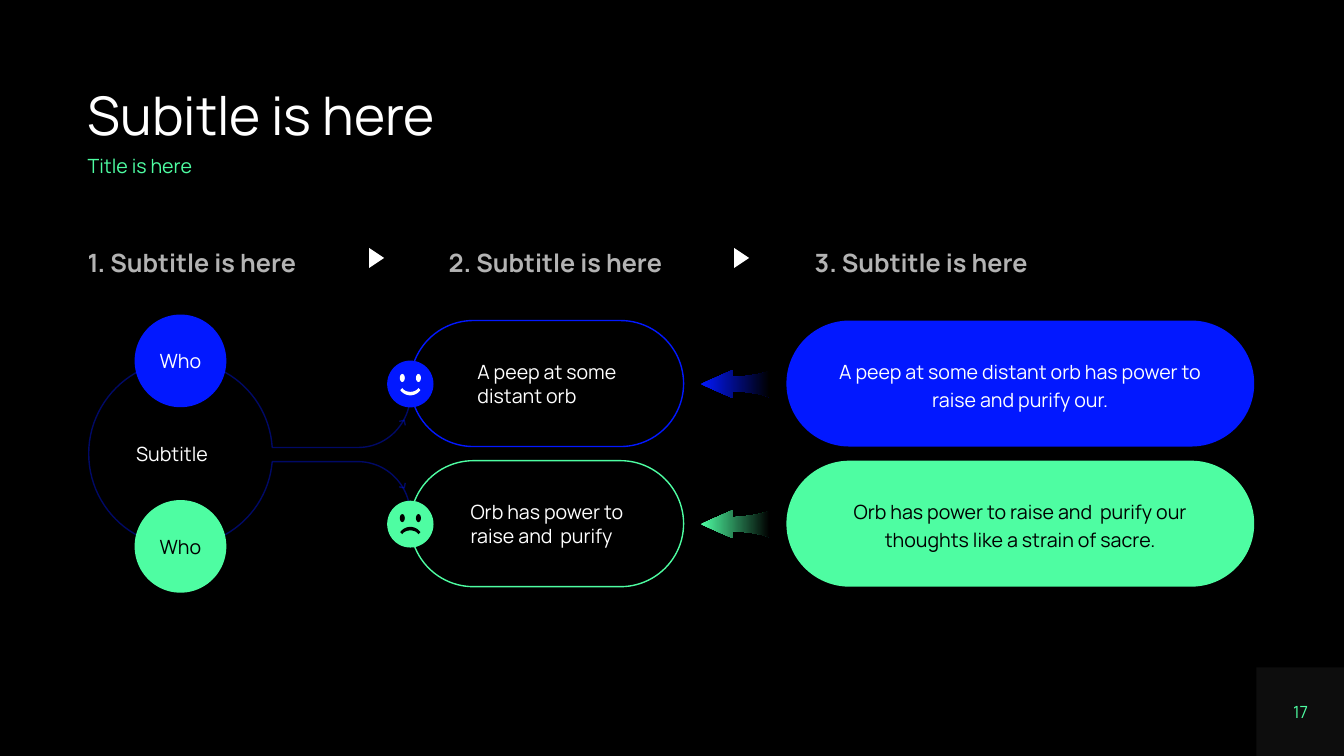
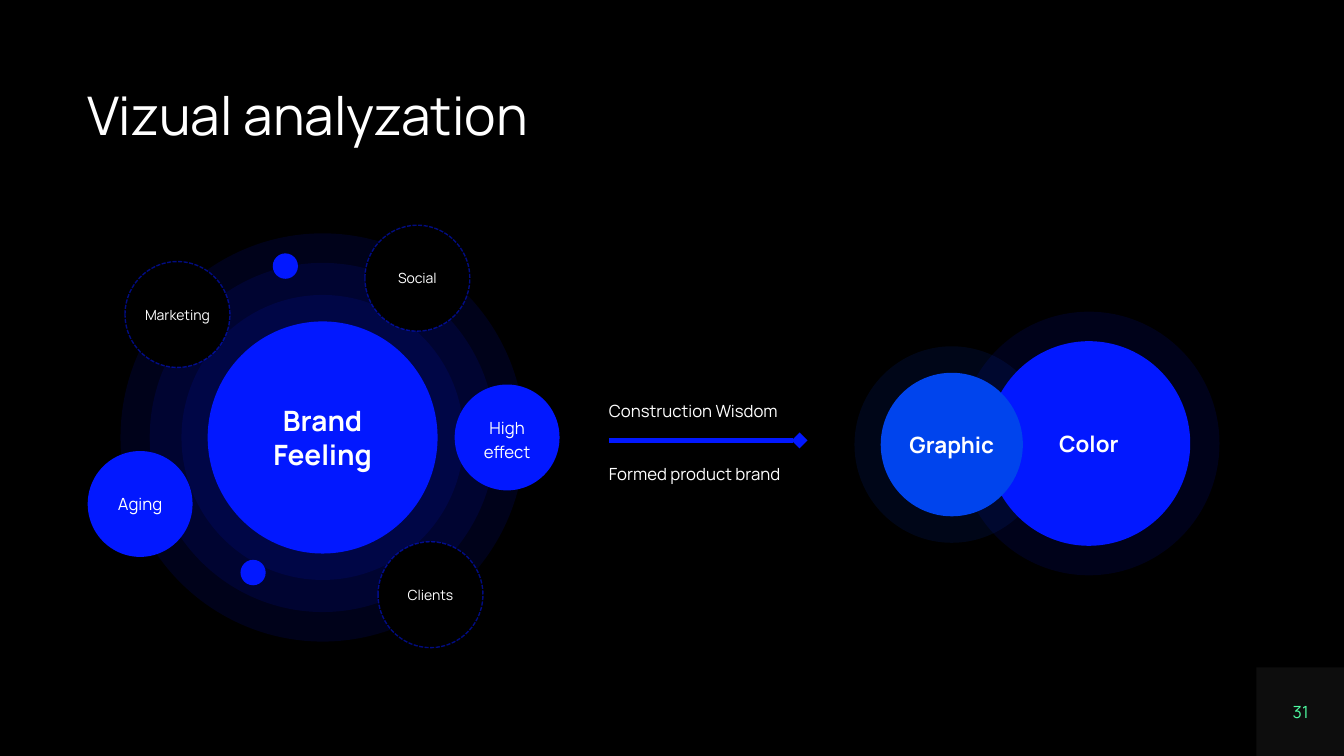
"""Build two dark diagram slides: a three-step flow and a map of circles."""
from dataclasses import dataclass

from lxml.etree import SubElement
from pptx import Presentation
from pptx.dml.color import RGBColor
from pptx.dml.fill import FillFormat
from pptx.enum.dml import MSO_LINE
from pptx.enum.shapes import MSO_CONNECTOR, MSO_SHAPE
from pptx.enum.text import MSO_ANCHOR, PP_ALIGN
from pptx.oxml.ns import qn
from pptx.shapes.autoshape import Shape
from pptx.slide import Slide
from pptx.util import Inches, Pt

BLACK = RGBColor(0x00, 0x00, 0x00)
WHITE = RGBColor(0xFF, 0xFF, 0xFF)
GRAY = RGBColor(0x80, 0x80, 0x80)
BLUE = RGBColor(0x02, 0x18, 0xFF)
SKY = RGBColor(0x00, 0x44, 0xED)
GREEN = RGBColor(0x4E, 0xFD, 0xA2)
FONT = "Manrope"
MARGIN = 0.87
DISC_RATIO = 1.01


@dataclass(frozen=True)
class Style:
    size: float = 14
    color: RGBColor = WHITE
    bold: bool = False
    align: PP_ALIGN = PP_ALIGN.LEFT
    spacing: float = 1.0
    alpha: int = 100


@dataclass(frozen=True)
class Disc:
    cx: float
    cy: float
    width: float
    fill: RGBColor = BLUE
    alpha: int = 100
    text: str = ""
    style: Style = Style()
    dashed: bool = False


@dataclass(frozen=True)
class Row:
    cy: float
    color: RGBColor
    ink: RGBColor
    mood: int
    summary: str
    detail: str


def paint(fill: FillFormat, color: RGBColor, alpha: int = 100) -> None:
    fill.solid()
    fill.fore_color.rgb = color
    if alpha < 100:
        clr = fill._xPr.find(qn("a:solidFill"))[0]
        SubElement(clr, qn("a:alpha")).set("val", str(alpha * 1000))


def write(sp: Shape, text: str, style: Style, inset: float = 0,
          anchor: MSO_ANCHOR = MSO_ANCHOR.MIDDLE) -> None:
    tf = sp.text_frame
    tf.word_wrap = True
    tf.vertical_anchor = anchor
    tf.margin_left = tf.margin_right = Inches(inset)
    tf.margin_top = tf.margin_bottom = 0
    p = tf.paragraphs[0]
    p.alignment = style.align
    p.line_spacing = style.spacing
    r = p.add_run()
    r.text = text
    r.font.name = FONT
    r.font.size = Pt(style.size)
    r.font.bold = style.bold
    paint(r.font.fill, style.color, style.alpha)


def add_label(s: Slide, x: float, y: float, w: float, h: float, text: str,
              style: Style, anchor: MSO_ANCHOR = MSO_ANCHOR.TOP) -> None:
    sp = s.shapes.add_textbox(Inches(x), Inches(y), Inches(w), Inches(h))
    write(sp, text, style, anchor=anchor)


def add_block(s: Slide, kind: MSO_SHAPE, x: float, y: float, w: float, h: float) -> Shape:
    sp = s.shapes.add_shape(kind, Inches(x), Inches(y), Inches(w), Inches(h))
    sp.shadow.inherit = False
    sp.line.fill.background()
    return sp


def add_disc(s: Slide, d: Disc) -> None:
    h = d.width * DISC_RATIO
    sp = add_block(s, MSO_SHAPE.OVAL, d.cx - d.width / 2, d.cy - h / 2, d.width, h)
    paint(sp.fill, d.fill, d.alpha)
    if d.dashed:
        paint(sp.line.fill, BLUE, 50)
        sp.line.width = Pt(1)
        sp.line.dash_style = MSO_LINE.SQUARE_DOT
    if d.text:
        write(sp, d.text, d.style)


def add_path(s: Slide, x: float, y: float, start: tuple[float, float],
             steps: list[tuple[float, ...]], closed: bool = True, flip: int = 1) -> Shape:
    """Trace lines (2 numbers) and Bezier curves (6 numbers) from an origin."""
    points = [start]
    for step in steps:
        if len(step) == 2:
            points.append(step)
            continue
        x0, y0 = points[-1]
        x1, y1, x2, y2, x3, y3 = step
        for i in range(1, 25):
            t = i / 24
            u = 1 - t
            a, b, c, d = u ** 3, 3 * u * u * t, 3 * u * t * t, t ** 3
            points.append((a * x0 + b * x1 + c * x2 + d * x3,
                           a * y0 + b * y1 + c * y2 + d * y3))
    first, *rest = [(Inches(x + px), Inches(y + flip * py)) for px, py in points]
    builder = s.shapes.build_freeform(*first, scale=1.0)
    builder.add_line_segments(rest, close=closed)
    sp = builder.convert_to_shape()
    sp.shadow.inherit = False
    if closed:
        sp.line.fill.background()
    else:
        sp.fill.background()
        paint(sp.line.fill, BLUE, 40)
        sp.line.width = Pt(1)
    return sp


def add_pill(s: Slide, x: float, cy: float, w: float) -> Shape:
    sp = add_block(s, MSO_SHAPE.ROUNDED_RECTANGLE, x, cy - 0.63, w, 1.25)
    sp.adjustments[0] = 0.5
    return sp


def add_face(s: Slide, row: Row, cx: float) -> None:
    ink = WHITE if row.mood > 0 else BLACK
    add_disc(s, Disc(cx, row.cy, 0.46, row.color))
    for dx in (-0.08, 0.08):
        eye = add_block(s, MSO_SHAPE.OVAL, cx + dx - 0.025, row.cy - 0.1, 0.05, 0.08)
        paint(eye.fill, ink)
    mouth = add_path(s, cx, row.cy + 0.07, (-0.08, -0.03),
                     [(-0.05, 0.02, 0.05, 0.02, 0.08, -0.03), (0.1, -0.01),
                      (0.05, 0.06, -0.05, 0.06, -0.1, -0.01)], flip=row.mood)
    paint(mouth.fill, ink)


def add_row(s: Slide, row: Row) -> None:
    outline = add_pill(s, 4.07, row.cy, 2.71)
    outline.fill.background()
    paint(outline.line.fill, row.color)
    outline.line.width = Pt(1)
    write(outline, row.summary, Style(), inset=0.32)
    outline.text_frame._txBody.bodyPr.set("anchorCtr", "1")

    solid = add_pill(s, 7.8, row.cy, 4.64)
    paint(solid.fill, row.color)
    write(solid, row.detail, Style(color=row.ink, align=PP_ALIGN.CENTER, spacing=1.2), inset=0.22)

    arrow = add_path(s, 6.95, row.cy, (0.32, -0.14),
                     [(0, 0), (0.32, 0.14), (0.32, 0.07), (0.34, 0.07),
                      (0.49, 0.08, 0.6, 0.1, 0.68, 0.13), (0.68, -0.13),
                      (0.6, -0.1, 0.49, -0.08, 0.34, -0.07), (0.32, -0.07)])
    arrow.fill.gradient()
    arrow.fill.gradient_angle = 0
    for stop, color, position in zip(arrow.fill.gradient_stops, (row.color, BLACK), (0, 1)):
        stop.color.rgb = color
        stop.position = position

    add_face(s, row, 4.07)
    add_path(s, 4.07, row.cy, (-0.11, 0.37), [(-0.06, 0.36), (-0.05, 0.41)],
             closed=False, flip=row.mood)


def new_slide(prs: Presentation, title: str, number: int) -> Slide:
    s = prs.slides.add_slide(prs.slide_layouts[6])
    paint(s.background.fill, BLACK)
    corner = add_block(s, MSO_SHAPE.RECTANGLE, 12.46, 6.62, 0.88, 0.88)
    paint(corner.fill, GRAY, 10)
    add_label(s, MARGIN, 0.89, 11.59, 0.58, title, Style(38, spacing=0.9))
    add_label(s, 12.7, 6.96, 0.4, 0.2, str(number),
              Style(12, GREEN, align=PP_ALIGN.CENTER), MSO_ANCHOR.MIDDLE)
    return s


def build_flow(prs: Presentation) -> None:
    s = new_slide(prs, "Subitle is here", 17)
    add_label(s, MARGIN, 1.55, 2.1, 0.21, "Title is here", Style(color=GREEN, spacing=0.9))

    heading = Style(18, bold=True, spacing=1.2, alpha=70)
    for i, x in enumerate((MARGIN, 4.45, 8.08), 1):
        add_label(s, x, 2.39, 2.6, 0.34, f"{i}. Subtitle is here", heading)
    for x in (3.66, 7.28):
        marker = add_path(s, x, 2.46, (0, 0), [(0.15, 0.1), (0, 0.2)])
        paint(marker.fill, WHITE)

    add_path(s, 0, 0, (4.07, 3.91),
             [(4.07, 4.2, 3.84, 4.44, 3.55, 4.44), (2.7, 4.44),
              (2.67, 3.96, 2.28, 3.58, 1.79, 3.58), (1.3, 3.58, 0.88, 3.99, 0.88, 4.5),
              (0.88, 5.01, 1.29, 5.42, 1.79, 5.42), (2.27, 5.42, 2.66, 5.05, 2.7, 4.58),
              (3.55, 4.58), (3.84, 4.58, 4.07, 4.82, 4.07, 5.11)], closed=False)

    rows = (
        Row(3.81, BLUE, WHITE, 1, "A peep at some distant orb",
            "A peep at some distant orb has power to raise and purify our."),
        Row(5.2, GREEN, BLACK, -1, "Orb has power to raise and  purify",
            "Orb has power to raise and  purify our thoughts like a strain of sacre."),
    )
    for row in rows:
        add_row(s, row)
    for cy, row in zip((3.58, 5.42), rows):
        add_disc(s, Disc(1.79, cy, 0.91, row.color, text="Who",
                         style=Style(color=row.ink, align=PP_ALIGN.CENTER)))
    add_label(s, 1.35, 4.38, 0.94, 0.24, "Subtitle", Style())


def build_circles(prs: Presentation) -> None:
    s = new_slide(prs, "Vizual analyzation", 31)
    center = PP_ALIGN.CENTER
    small = Style(10, align=center)
    medium = Style(12, align=center)
    loose = Style(12, align=center, spacing=1.2)
    strong = Style(16, bold=True, align=center)
    core = Style(20, bold=True, align=center)
    discs = (
        Disc(3.2, 4.34, 4.01, alpha=10),
        Disc(10.8, 4.4, 2.59, alpha=10),
        Disc(3.2, 4.34, 3.43, alpha=10),
        Disc(3.2, 4.34, 2.8, alpha=10),
        Disc(3.2, 4.34, 2.28, text="Brand Feeling", style=core),
        Disc(1.76, 3.12, 1.04, BLACK, text="Marketing", style=small, dashed=True),
        Disc(1.39, 5, 1.04, text="Aging", style=medium),
        Disc(2.83, 2.64, 0.25),
        Disc(2.51, 5.68, 0.25),
        Disc(4.14, 2.76, 1.04, BLACK, text="Social", style=small, dashed=True),
        Disc(5.03, 4.34, 1.04, text="High effect", style=loose),
        Disc(4.27, 5.9, 1.04, BLACK, text="Clients", style=small, dashed=True),
        Disc(9.44, 4.41, 1.93, SKY, 10),
        Disc(10.8, 4.4, 2.01, text="Color", style=strong),
        Disc(9.44, 4.41, 1.41, SKY, text="Graphic", style=strong),
    )
    for disc in discs:
        add_disc(s, disc)

    y = Inches(4.37)
    link = s.shapes.add_connector(MSO_CONNECTOR.STRAIGHT, Inches(6.04), y, Inches(7.93), y)
    paint(link.line.fill, BLUE)
    link.line.width = Pt(3.8)
    SubElement(link.line._get_or_add_ln(), qn("a:tailEnd")).set("type", "diamond")
    SubElement(link._element.spPr, qn("a:effectLst"))
    for top, text in ((3.94, "Construction Wisdom"), (4.56, "Formed product brand")):
        add_label(s, 6.04, top, 1.93, 0.23, text, Style(12, spacing=1.2))


def main() -> None:
    prs = Presentation()
    prs.slide_width, prs.slide_height = Inches(13.33), Inches(7.5)
    build_flow(prs)
    build_circles(prs)
    prs.save("out.pptx")


if __name__ == "__main__":
    main()
